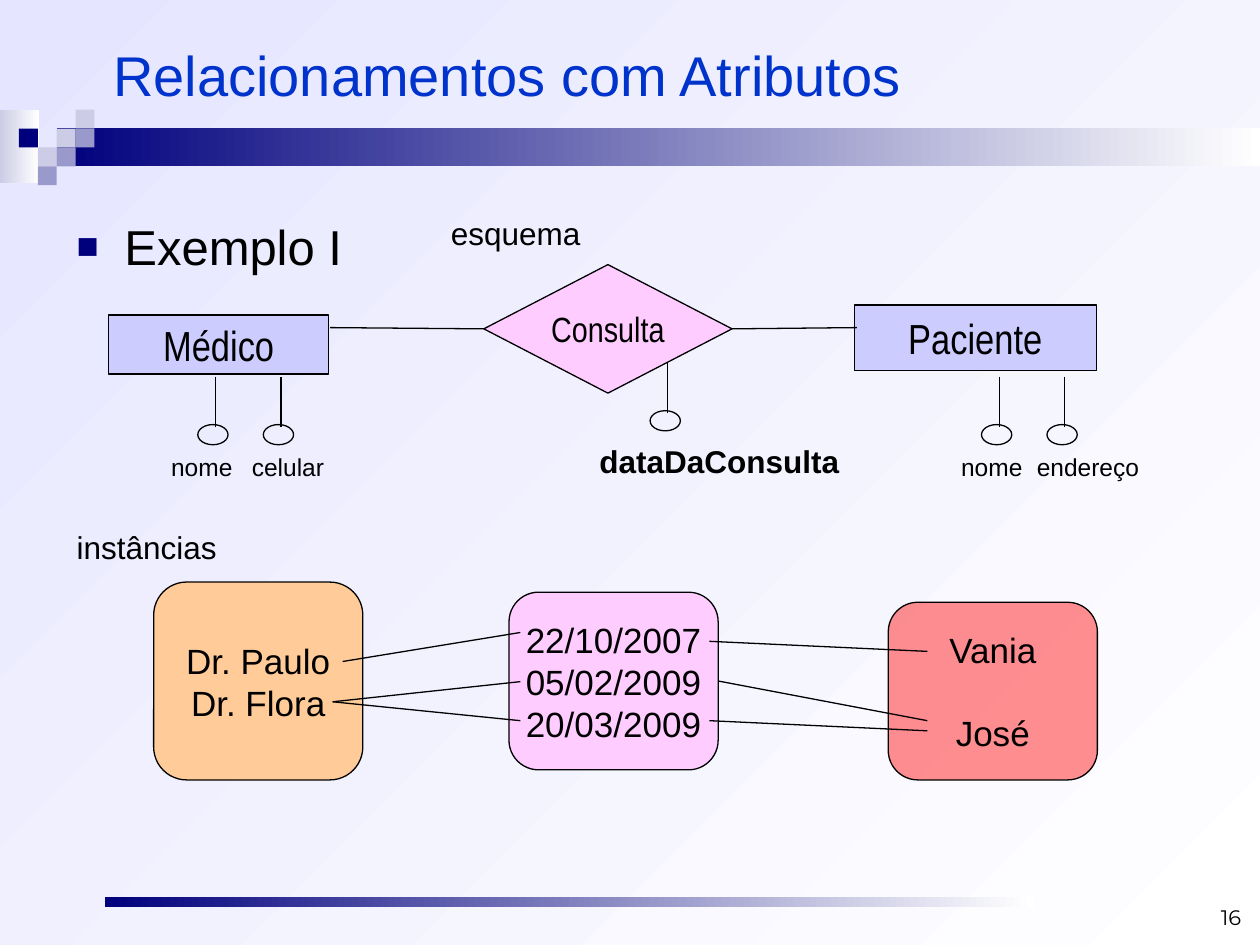
"""Build the slide on relationships with attributes: schema above, instances below."""
from typing import NamedTuple

from lxml import etree
from pptx import Presentation
from pptx.dml.color import RGBColor
from pptx.enum.shapes import MSO_CONNECTOR, MSO_SHAPE
from pptx.enum.text import MSO_ANCHOR, PP_ALIGN
from pptx.oxml.ns import qn
from pptx.util import Inches, Pt

RECT = MSO_SHAPE.RECTANGLE
ROUNDED = MSO_SHAPE.ROUNDED_RECTANGLE
DIAMOND = MSO_SHAPE.FLOWCHART_DECISION
OVAL = MSO_SHAPE.OVAL
STRAIGHT = MSO_CONNECTOR.STRAIGHT
LEFT, CENTER, RIGHT = PP_ALIGN.LEFT, PP_ALIGN.CENTER, PP_ALIGN.RIGHT
TOP, MIDDLE, BOTTOM = MSO_ANCHOR.TOP, MSO_ANCHOR.MIDDLE, MSO_ANCHOR.BOTTOM

BLACK, WHITE, NAVY, BLUE = "000000", "FFFFFF", "00007D", "0033CC"
PALE, LILAC, PINK = "CCCCE6", "9999CC", "FFCCFF"
TILE = 0.15


class Box(NamedTuple):
    x: float
    y: float
    w: float
    h: float


class Node(NamedTuple):
    kind: MSO_SHAPE
    box: Box
    fill: str
    lines: list[str]
    size: int
    font: str = "Arial"
    gap: float = 0
    alpha: int = 100


class Label(NamedTuple):
    box: Box
    text: str
    size: int
    color: str = BLACK
    font: str = "Arial"
    bold: bool = False
    align: PP_ALIGN = LEFT
    anchor: MSO_ANCHOR = TOP
    wrap: bool = False
    bullet: bool = False


class Attribute(NamedTuple):
    x: float
    y: float


class Link(NamedTuple):
    x1: float
    y1: float
    x2: float
    y2: float


def rgb(color: str) -> RGBColor:
    """Turn a hex string into a colour."""
    return RGBColor.from_string(color)


def set_gradient(fill, start: str, end: str, angle: int) -> None:
    """Apply a two-colour linear gradient."""
    fill.gradient()
    fill.gradient_angle = angle
    for stop, color in zip(fill.gradient_stops, (start, end)):
        stop.color.rgb = rgb(color)


def add_shape(s, kind: MSO_SHAPE, box: Box):
    """Add a preset shape without fill, line or shadow."""
    sp = s.shapes.add_shape(kind, *map(Inches, box))
    sp.shadow.inherit = False
    sp.fill.background()
    sp.line.fill.background()
    return sp


def outline(line) -> None:
    """Give a line the thin black stroke of the diagram."""
    line.color.rgb = rgb(BLACK)
    line.width = Pt(0.75)


def add_run(p, text: str, size: int, font: str, color: str = BLACK, bold: bool = False) -> None:
    """Add one formatted run to a paragraph."""
    r = p.add_run()
    r.text = text
    r.font.size, r.font.name, r.font.bold = Pt(size), font, bold
    r.font.color.rgb = rgb(color)


def set_bullet(p) -> None:
    """Put a small navy square before a hanging paragraph."""
    pPr = p._p.get_or_add_pPr()
    pPr.set("marL", str(Inches(0.38)))
    pPr.set("indent", str(-Inches(0.38)))
    etree.SubElement(etree.SubElement(pPr, qn("a:buClr")), qn("a:srgbClr"), val=NAVY)
    etree.SubElement(pPr, qn("a:buSzPct"), val="75000")
    etree.SubElement(pPr, qn("a:buFont"), typeface="Arial")
    etree.SubElement(pPr, qn("a:buChar"), char="■")


def draw_node(s, node: Node):
    """Draw an outlined shape with centred lines of text."""
    sp = add_shape(s, node.kind, node.box)
    sp.fill.solid()
    sp.fill.fore_color.rgb = rgb(node.fill)
    if node.alpha < 100:
        color = sp._element.spPr.find(f"{qn('a:solidFill')}/{qn('a:srgbClr')}")
        etree.SubElement(color, qn("a:alpha"), val=str(node.alpha * 1000))
    outline(sp.line)
    tf = sp.text_frame
    tf.word_wrap, tf.vertical_anchor = False, MIDDLE
    for i, text in enumerate(node.lines):
        p = tf.add_paragraph() if i else tf.paragraphs[0]
        p.alignment = CENTER
        if i and node.gap:
            p.space_before = Pt(node.gap)
        add_run(p, text, node.size, node.font)
    return sp


def draw_label(s, label: Label) -> None:
    """Draw a text box with one paragraph."""
    tf = s.shapes.add_textbox(*map(Inches, label.box)).text_frame
    tf.word_wrap, tf.vertical_anchor = label.wrap, label.anchor
    p = tf.paragraphs[0]
    p.alignment = label.align
    if label.bullet:
        set_bullet(p)
    add_run(p, label.text, label.size, label.font, label.color, label.bold)


def draw_link(s, link: Link):
    """Draw a thin straight connector."""
    line = s.shapes.add_connector(STRAIGHT, *map(Inches, link))
    outline(line.line)
    etree.SubElement(line._element.spPr, qn("a:effectLst"))
    return line


def draw_attribute(s, attribute: Attribute) -> None:
    """Draw an attribute stem that ends in a small oval."""
    x, y = attribute
    draw_link(s, Link(x, y, x, y + 0.4))
    outline(add_shape(s, OVAL, Box(x - 0.14, y + 0.38, 0.24, 0.16)).line)


def draw_decoration(s) -> None:
    """Draw the background, the fading bars and the mosaic of tiles."""
    set_gradient(s.background.fill, "E5E5FF", WHITE, 315)
    bars = [(Box(0, 0.87, 0.31, 0.58), PALE), (Box(0.45, 1.02, 9.55, 0.3), NAVY),
            (Box(0.83, 7.12, 7.38, 0.08), NAVY)]
    for box, color in bars:
        set_gradient(add_shape(s, RECT, box).fill, color, WHITE, 0)
    tiles = [(2, 1, PALE), (3, 0, PALE), (3, 1, LILAC), (1, 2, PALE),
             (0, 1, NAVY), (2, 2, LILAC), (1, 3, LILAC)]
    for col, row, color in tiles:
        sp = add_shape(s, RECT, Box(0.15 + col * TILE, 0.87 + row * TILE, TILE, TILE))
        sp.fill.solid()
        sp.fill.fore_color.rgb = rgb(color)


LABELS = [
    Label(Box(0.8, 0.13, 9, 0.91), "Relacionamentos com Atributos", 32, BLUE, anchor=MIDDLE, wrap=True),
    Label(Box(0.51, 1.67, 9, 4.99), "Exemplo I", 28, wrap=True, bullet=True),
    Label(Box(3.48, 1.65, 1.23, 0.4), "esquema", 18),
    Label(Box(0.51, 4.14, 1.31, 0.4), "instâncias", 18),
    Label(Box(4.66, 3.46, 2.1, 0.4), "dataDaConsulta", 18, bold=True),
    Label(Box(1.26, 3.54, 0.7, 0.34), "nome", 14),
    Label(Box(1.9, 3.54, 0.78, 0.34), "celular", 14),
    Label(Box(7.53, 3.54, 0.7, 0.34), "nome", 14),
    Label(Box(8.13, 3.54, 1.02, 0.34), "endereço", 14),
    Label(Box(7.62, 6.93, 2.33, 0.5), "16", 12, font="Montserrat", align=RIGHT, anchor=BOTTOM, wrap=True),
]
ENTITIES = [
    Node(RECT, Box(0.86, 2.5, 1.75, 0.47), "CCCCFF", ["Médico"], 24, "Arial Narrow"),
    Node(RECT, Box(6.78, 2.42, 1.92, 0.52), "CCCCFF", ["Paciente"], 24, "Arial Narrow"),
]
RELATIONSHIP = Node(DIAMOND, Box(3.84, 2.1, 1.97, 1.02), PINK, ["Consulta"], 20, "Arial Narrow")
ATTRIBUTES = [Attribute(5.3, 2.88)] + [Attribute(x, 2.99) for x in (1.71, 2.23, 7.93, 8.45)]
DOCTORS = Node(ROUNDED, Box(1.22, 4.62, 1.66, 1.57), "FFCC99", ["Dr. Paulo", "Dr. Flora"], 20)
PATIENTS = Node(ROUNDED, Box(7.05, 4.78, 1.66, 1.41), "FF2121", ["Vania", "José"], 20, gap=23, alpha=50)
DATES = Node(ROUNDED, Box(4.04, 4.7, 1.66, 1.41), PINK, ["22/10/2007", "05/02/2009", "20/03/2009"], 20)
INSTANCE_LINKS = [
    Link(2.72, 5.25, 4.13, 5.02), Link(2.64, 5.57, 4.13, 5.41), Link(2.64, 5.57, 4.13, 5.72),
    Link(7.36, 5.17, 5.63, 5.09), Link(7.36, 5.8, 5.63, 5.72),
]


def main() -> None:
    """Draw the whole slide and save it."""
    prs = Presentation()
    prs.slide_width, prs.slide_height = Inches(10), Inches(7.5)
    s = prs.slides.add_slide(prs.slide_layouts[6])
    draw_decoration(s)
    for label in LABELS:
        draw_label(s, label)
    for node in [*ENTITIES, DOCTORS, PATIENTS]:
        draw_node(s, node)
    consulta, dates = draw_node(s, RELATIONSHIP), draw_node(s, DATES)
    draw_link(s, Link(2.62, 2.6, 3.84, 2.61)).end_connect(consulta, 1)
    draw_link(s, Link(5.81, 2.61, 6.8, 2.6)).begin_connect(consulta, 3)
    draw_link(s, Link(7.36, 5.72, 5.7, 5.41)).end_connect(dates, 3)
    for attribute in ATTRIBUTES:
        draw_attribute(s, attribute)
    for link in INSTANCE_LINKS:
        draw_link(s, link)
    prs.save("out.pptx")


if __name__ == "__main__":
    main()
